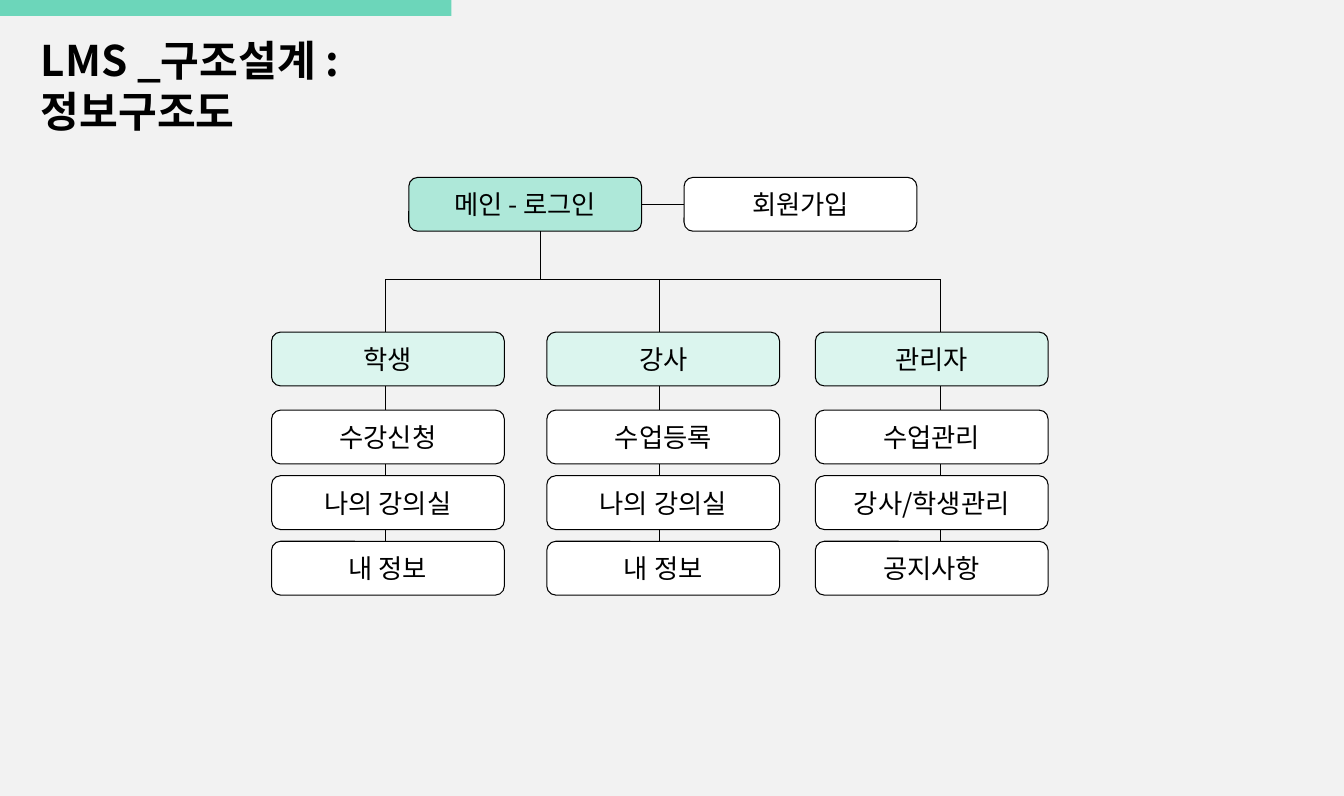
from dataclasses import dataclass

from lxml.etree import SubElement
from pptx import Presentation
from pptx.dml.color import RGBColor
from pptx.enum.shapes import MSO_CONNECTOR as CONN, MSO_SHAPE as SHAPE
from pptx.enum.text import MSO_ANCHOR as ANCHOR, MSO_AUTO_SIZE as AUTO, PP_ALIGN as ALIGN
from pptx.oxml.ns import qn
from pptx.util import Pt

# Content
TITLE = "LMS _구조설계 : 정보구조도"
MAIN, SIGN_UP = "메인 - 로그인", "회원가입"
ROLES = [
    ("학생", ["수강신청", "나의 강의실", "내 정보"]),
    ("강사", ["수업등록", "나의 강의실", "내 정보"]),
    ("관리자", ["수업관리", "강사/학생관리", "공지사항"]),
]


@dataclass(frozen=True)
class Theme:
    font: str = "Noto Sans CJK KR"
    title_size: float = 40
    box_size: float = 25
    back: str = "F2F2F2"
    accent: str = "6CD6BA"
    main: str = "AEE8D9"
    role: str = "DBF5EE"
    white: str = "FFFFFF"
    ink: str = "000000"


T = Theme()

# Layout in points
SLIDE_W, SLIDE_H = 1275.84, 756
BOX_W, BOX_H = 221, 51.1
TOP_X, TOP_Y, TOP_PITCH = 388.1, 168.5, 261.3
COLUMN_X = [257.8, 519.1, 774]
TRUNK_X = [365.8, 626.4, 892.8]
STEM_X, BUS_Y, TRUNK_END = 513.4, 265, 528
ROLE_Y, MENU_Y, MENU_PITCH = 315.4, 389.5, 62.3


def rgb(value):
    return RGBColor.from_string(value)


def add_run(p, text, size, bold=False):
    r = p.add_run()
    r.text = text
    r.font.name, r.font.size, r.font.bold = T.font, Pt(size), bold
    r.font.color.rgb = rgb(T.ink)
    SubElement(r.font._element, qn("a:ea")).set("typeface", T.font)


def add_block(slide, kind, x, y, w, h, fill):
    sp = slide.shapes.add_shape(kind, Pt(x), Pt(y), Pt(w), Pt(h))
    sp.shadow.inherit = False
    sp.fill.solid()
    sp.fill.fore_color.rgb = rgb(fill)
    return sp


def add_box(slide, text, x, y, fill):
    sp = add_block(slide, SHAPE.ROUNDED_RECTANGLE, x, y, BOX_W, BOX_H, fill)
    sp.line.color.rgb, sp.line.width = rgb(T.ink), Pt(1)
    tf = sp.text_frame
    tf.vertical_anchor = ANCHOR.MIDDLE
    p = tf.paragraphs[0]
    p.alignment = ALIGN.CENTER
    add_run(p, text, T.box_size)
    return sp


def add_line(slide, x1, y1, x2, y2):
    c = slide.shapes.add_connector(CONN.STRAIGHT, Pt(x1), Pt(y1), Pt(x2), Pt(y2))
    c.line.color.rgb, c.line.width = rgb(T.ink), Pt(0.75)
    SubElement(c._element.spPr, qn("a:effectLst"))
    return c


def main():
    prs = Presentation()
    prs.slide_width, prs.slide_height = Pt(SLIDE_W), Pt(SLIDE_H)
    slide = prs.slides.add_slide(prs.slide_layouts[5])
    slide.background.fill.solid()
    slide.background.fill.fore_color.rgb = rgb(T.back)

    # Accent bar and title
    bar = add_block(slide, SHAPE.RECTANGLE, 0, 0, 428.4, 15.1, T.accent)
    bar.line.fill.background()
    title = slide.shapes.title
    title.left, title.top, title.width, title.height = Pt(31.7), Pt(29), Pt(400), Pt(104)
    tf = title.text_frame
    tf.word_wrap, tf.auto_size, tf.vertical_anchor = True, AUTO.NONE, ANCHOR.TOP
    p = tf.paragraphs[0]
    p.alignment, p.line_spacing = ALIGN.LEFT, Pt(48.4)
    add_run(p, TITLE, T.title_size, bold=True)

    # Entry boxes
    login = add_box(slide, MAIN, TOP_X, TOP_Y, T.main)
    sign_up = add_box(slide, SIGN_UP, TOP_X + TOP_PITCH, TOP_Y, T.white)
    mid_y = TOP_Y + BOX_H / 2
    link = add_line(slide, TOP_X + BOX_W, mid_y, TOP_X + TOP_PITCH, mid_y)
    link.begin_connect(login, 3)
    link.end_connect(sign_up, 1)

    # Tree lines, behind the role columns
    add_line(slide, STEM_X, TOP_Y + BOX_H, STEM_X, BUS_Y)
    add_line(slide, TRUNK_X[0], BUS_Y, TRUNK_X[-1], BUS_Y)
    for x in TRUNK_X:
        add_line(slide, x, BUS_Y, x, TRUNK_END)

    # Role columns
    for x, (role, menus) in zip(COLUMN_X, ROLES):
        add_box(slide, role, x, ROLE_Y, T.role)
        for i, menu in enumerate(menus):
            add_box(slide, menu, x, MENU_Y + i * MENU_PITCH, T.white)

    prs.save("out.pptx")


if __name__ == "__main__":
    main()
